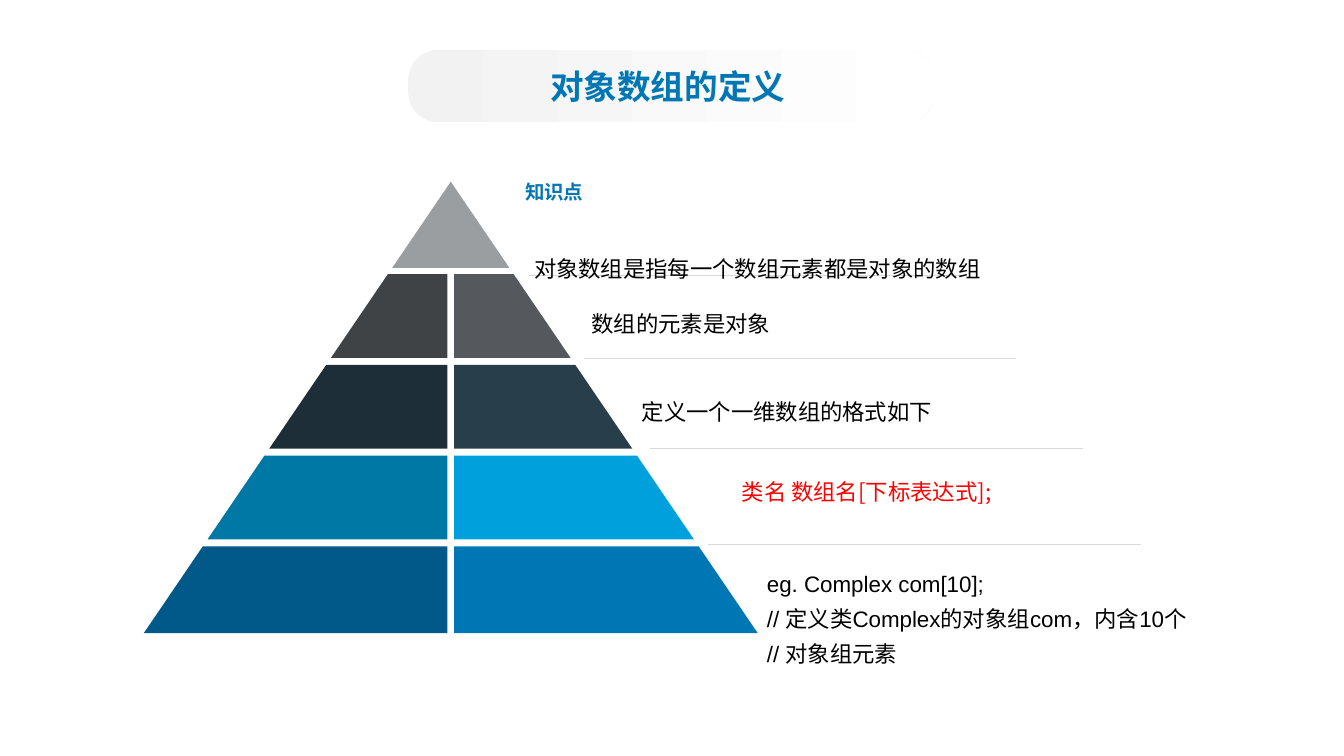
import pptx
import pptx.util
import pptx.dml.color
import pptx.enum.shapes
import pptx.enum.text
import pptx.oxml
import pptx.oxml.ns

Pt = pptx.util.Pt
RGBColor = pptx.dml.color.RGBColor

BLUE = RGBColor(0x00, 0x77, 0xB5)
BLACK = RGBColor(0x00, 0x00, 0x00)
RED = RGBColor(0xFF, 0x00, 0x00)
RULE_GREY = RGBColor(0xD9, 0xD9, 0xD9)
BANNER_START = RGBColor(0xF2, 0xF2, 0xF2)
BANNER_END = RGBColor(0xFF, 0xFF, 0xFF)
PEAK_GREY = RGBColor(0x9B, 0x9E, 0xA1)
TIER_COLORS = [
    (RGBColor(0x40, 0x43, 0x46), RGBColor(0x55, 0x59, 0x5D)),
    (RGBColor(0x1E, 0x2E, 0x38), RGBColor(0x28, 0x3E, 0x4A)),
    (RGBColor(0x00, 0x78, 0xA5), RGBColor(0x00, 0xA0, 0xDC)),
    (RGBColor(0x00, 0x59, 0x88), BLUE),
]
CJK = "Noto Sans CJK SC"

deck = pptx.Presentation()
deck.slide_width = Pt(960)
deck.slide_height = Pt(540)
slide = deck.slides.add_slide(deck.slide_layouts[6])


def add_piece(corners, color):
    outline = slide.shapes.build_freeform(
        Pt(corners[0][0]), Pt(corners[0][1]), scale=1.0)
    outline.add_line_segments([(Pt(x), Pt(y)) for x, y in corners[1:]], close=True)
    piece = outline.convert_to_shape()
    piece.shadow.inherit = False
    piece.fill.solid()
    piece.fill.fore_color.rgb = color
    piece.line.fill.background()


def write(frame, lines, font_format, color, paragraph_format):
    frame.word_wrap = True
    for index, line in enumerate(lines):
        paragraph = frame.paragraphs[0] if index == 0 else frame.add_paragraph()
        for name, value in paragraph_format.items():
            setattr(paragraph, name, value)
        run = paragraph.add_run()
        run.text = line
        for name, value in font_format.items():
            setattr(run.font, name, value)
        run.font.color.rgb = color
        east_asian = pptx.oxml.ns.qn("a:ea")
        run.font._element.append(run.font._element.makeelement(east_asian, {"typeface": CJK}))


APEX_X, APEX_Y, SLOPE = 322, 129.8, 0.68
HALF_GAP = 2.4
PEAK_BOTTOM = 191.3
FIRST_TIER, TIER_STEP = 195.9, 64.8
TIER_HEIGHTS = [59.8, 59.8, 59.8, 62]

peak_half = SLOPE * (PEAK_BOTTOM - APEX_Y)
add_piece([(APEX_X, APEX_Y), (APEX_X + peak_half, PEAK_BOTTOM),
           (APEX_X - peak_half, PEAK_BOTTOM)], PEAK_GREY)
for tier, (colors, height) in enumerate(zip(TIER_COLORS, TIER_HEIGHTS)):
    top = FIRST_TIER + tier * TIER_STEP
    bottom = top + height
    for side, color in zip((-1, 1), colors):
        inner = APEX_X + side * HALF_GAP
        add_piece([(inner, top),
                   (APEX_X + side * SLOPE * (top - APEX_Y), top),
                   (APEX_X + side * SLOPE * (bottom - APEX_Y), bottom),
                   (inner, bottom)], color)

RULE_LENGTH = 309
for left, y in [(378, 196.4), (417, 256.2), (464.4, 320.2), (505.7, 388.8)]:
    rule = slide.shapes.add_connector(
        pptx.enum.shapes.MSO_CONNECTOR.STRAIGHT,
        Pt(left), Pt(y), Pt(left + RULE_LENGTH), Pt(y))
    rule.line.color.rgb = RULE_GREY
    rule.line.width = Pt(0.5)
    rule._element.spPr.append(pptx.oxml.parse_xml(
        '<a:effectLst xmlns:a="http://schemas.openxmlformats.org/drawingml/2006/main"/>'))

arial = {"name": "Arial", "size": Pt(16)}
cjk = {"name": CJK, "size": Pt(16)}
heading = {"name": "Arial", "size": Pt(13.9), "bold": True}
spaced = {"line_spacing": 1.3}
notes = [
    (368, 125.3, 319, 24.5, ["知识点"], heading, BLUE, {}),
    (374.4, 172.8, 415.4, 34.6, ["对象数组是指每一个数组元素都是对象的数组"], arial, BLACK, spaced),
    (415.5, 212.4, 414.5, 34.6, ["数组的元素是对象"], arial, BLACK, spaced),
    (451.4, 280.8, 417.6, 34.6, ["定义一个一维数组的格式如下"], cjk, BLACK, {}),
    (486.7, 337.7, 382.3, 34.6, ["类名 数组名[下标表达式];"], cjk, RED, {"level": 1}),
    (540.7, 398.2, 328.3, 34.6,
     ["eg. Complex com[10];", "// 定义类Complex的对象组com，内含10个", "// 对象组元素"],
     arial, BLACK, spaced),
]
for left, top, width, height, lines, font_format, color, paragraph_format in notes:
    note = slide.shapes.add_textbox(Pt(left), Pt(top), Pt(width), Pt(height))
    write(note.text_frame, lines, font_format, color, paragraph_format)

banner = slide.shapes.add_shape(
    pptx.enum.shapes.MSO_SHAPE.ROUNDED_RECTANGLE,
    Pt(291.6), Pt(35.5), Pt(376.6), Pt(52))
banner.adjustments[0] = 0.42
banner.shadow.inherit = False
banner.line.fill.background()
banner.fill.gradient()
banner.fill.gradient_angle = 0
for stop, position, color in zip(
        banner.fill.gradient_stops, (0, 0.99), (BANNER_START, BANNER_END)):
    stop.position = position
    stop.color.rgb = color
banner.text_frame.margin_right = Pt(13)
banner.text_frame.vertical_anchor = pptx.enum.text.MSO_ANCHOR.MIDDLE
write(banner.text_frame, ["对象数组的定义"],
      {"name": CJK, "size": Pt(24), "bold": True}, BLUE,
      {"alignment": pptx.enum.text.PP_ALIGN.CENTER})

deck.save("out.pptx")
